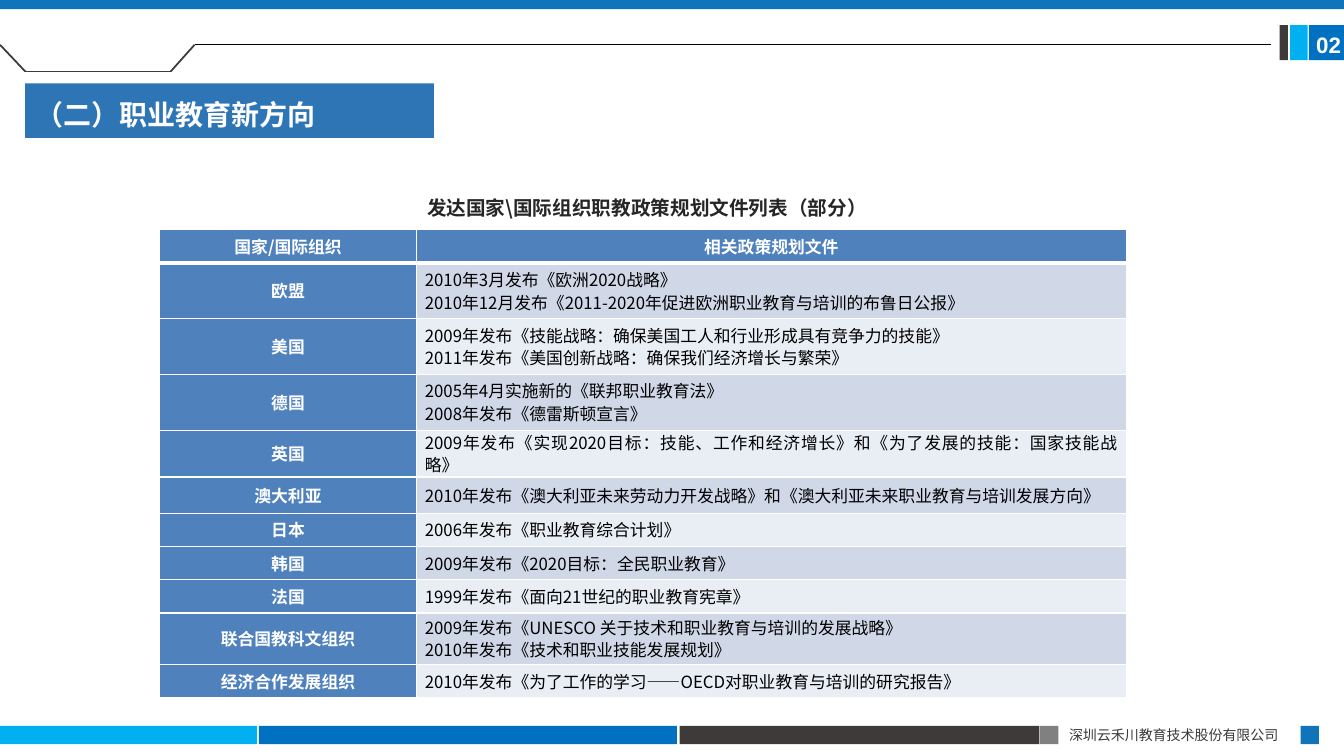
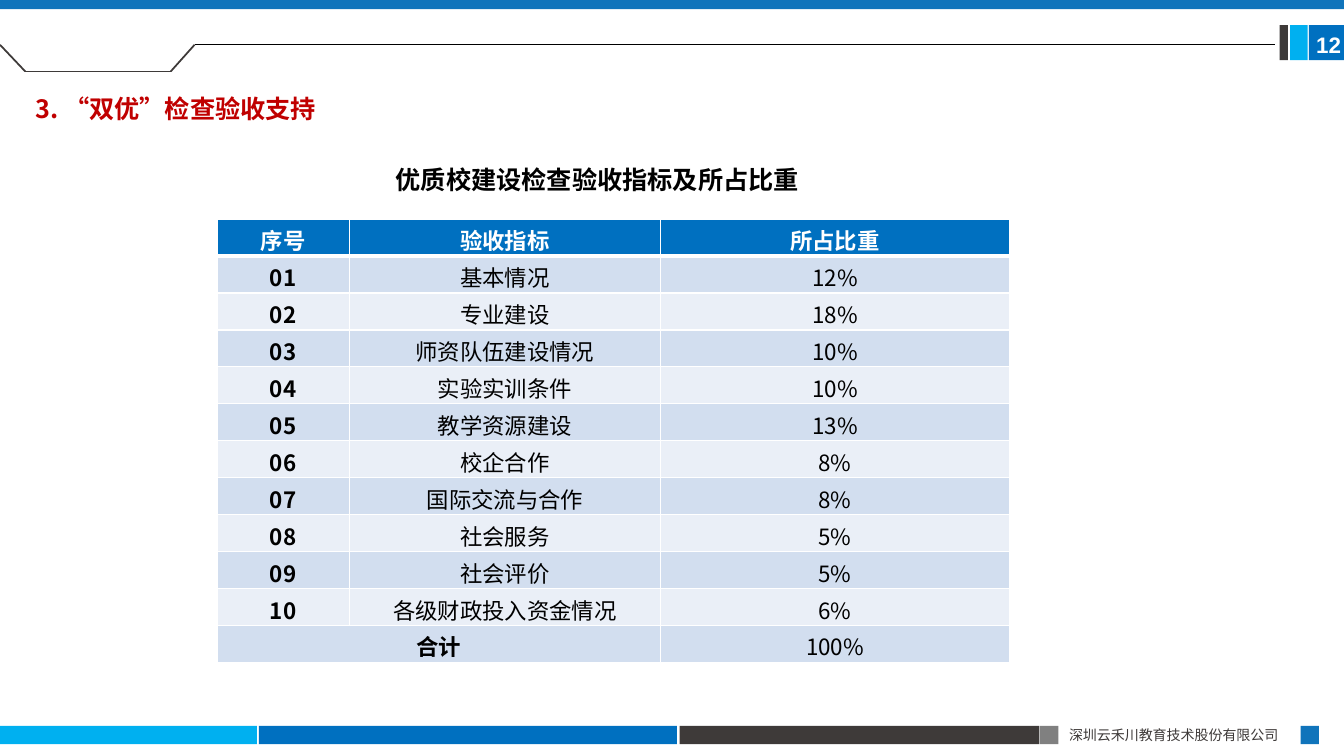
from lxml.etree import SubElement
from pptx import Presentation
from pptx.dml.color import RGBColor
from pptx.enum.shapes import MSO_CONNECTOR, MSO_SHAPE
from pptx.enum.text import MSO_ANCHOR, MSO_AUTO_SIZE, PP_ALIGN
from pptx.oxml.ns import qn
from pptx.util import Pt

HUE = {
    "sky": "00B0F0", "blue": "0070C0", "bar": "1074BB", "dark": "3E3A39",
    "gray": "808080", "white": "FFFFFF", "black": "000000", "ink": "262626",
    "red": "C00000", "title": "2E75B6", "head": "4F81BD",
    "band1": "D0D8E8", "pale1": "E9EDF4", "band2": "D2DEEF", "pale2": "EAEFF7",
}
FONT = "Noto Sans CJK SC"
FIRM = "深圳云禾川教育技术股份有限公司"
MID, LEFT, JUST = PP_ALIGN.CENTER, PP_ALIGN.LEFT, PP_ALIGN.JUSTIFY

POLICY = [
    ("国家/国际组织", ["相关政策规划文件"]),
    ("欧盟", ["2010年3月发布《欧洲2020战略》",
            "2010年12月发布《2011-2020年促进欧洲职业教育与培训的布鲁日公报》"]),
    ("美国", ["2009年发布《技能战略：确保美国工人和行业形成具有竞争力的技能》",
            "2011年发布《美国创新战略：确保我们经济增长与繁荣》"]),
    ("德国", ["2005年4月实施新的《联邦职业教育法》", "2008年发布《德雷斯顿宣言》"]),
    ("英国", ["2009年发布《实现2020目标：技能、工作和经济增长》和《为了发展的技能：国家技能战略》"]),
    ("澳大利亚", ["2010年发布《澳大利亚未来劳动力开发战略》和《澳大利亚未来职业教育与培训发展方向》"]),
    ("日本", ["2006年发布《职业教育综合计划》"]),
    ("韩国", ["2009年发布《2020目标：全民职业教育》"]),
    ("法国", ["1999年发布《面向21世纪的职业教育宪章》"]),
    ("联合国教科文组织", ["2009年发布《UNESCO 关于技术和职业教育与培训的发展战略》",
                  "2010年发布《技术和职业技能发展规划》"]),
    ("经济合作发展组织", ["2010年发布《为了工作的学习——OECD对职业教育与培训的研究报告》"]),
]
SCORE = [
    ("序号", "验收指标", "所占比重"),
    ("01", "基本情况", "12%"),
    ("02", "专业建设", "18%"),
    ("03", "师资队伍建设情况", "10%"),
    ("04", "实验实训条件", "10%"),
    ("05", "教学资源建设", "13%"),
    ("06", "校企合作", "8%"),
    ("07", "国际交流与合作", "8%"),
    ("08", "社会服务", "5%"),
    ("09", "社会评价", "5%"),
    ("10", "各级财政投入资金情况", "6%"),
    ("合计", None, "100%"),
]


def rgb(name):
    return RGBColor.from_string(HUE[name])


def write(frame, lines, size, hue, bold=False, align=LEFT, font=FONT, space=None):
    """Fill a text frame, one paragraph for each line."""
    for i, line in enumerate(lines):
        para = frame.add_paragraph() if i else frame.paragraphs[0]
        para.alignment = align
        if space:
            para.line_spacing = Pt(space)
        run = para.add_run()
        run.text = line
        run.font.size, run.font.bold, run.font.name = Pt(size), bold, font
        run.font.color.rgb = rgb(hue)
        SubElement(run.font._element, qn("a:ea")).set("typeface", font)


def pad(item, left, top, right, low):
    item.margin_left, item.margin_top = Pt(left), Pt(top)
    item.margin_right, item.margin_bottom = Pt(right), Pt(low)


def block(slide, x, y, w, h, hue):
    shape = slide.shapes.add_shape(MSO_SHAPE.RECTANGLE, Pt(x), Pt(y), Pt(w), Pt(h))
    shape.shadow.inherit = False
    shape.fill.solid()
    shape.fill.fore_color.rgb = rgb(hue)
    shape.line.fill.background()
    return shape


def rule(slide, start, end, hue, width):
    line = slide.shapes.add_connector(
        MSO_CONNECTOR.STRAIGHT, *[Pt(v) for v in (*start, *end)])
    line.line.color.rgb = rgb(hue)
    line.line.width = Pt(width)
    SubElement(line._element.spPr, qn("a:effectLst"))


def label(slide, box, text, size, hue, bold=True, align=LEFT):
    frame = slide.shapes.add_textbox(*[Pt(v) for v in box]).text_frame
    frame.word_wrap = True
    write(frame, [text], size, hue, bold, align)


def title(slide, box, text, size, hue, fill=None, top=3.6):
    shape = slide.shapes.title
    shape.left, shape.top, shape.width, shape.height = [Pt(v) for v in box]
    if fill:
        shape.fill.solid()
        shape.fill.fore_color.rgb = rgb(fill)
    frame = shape.text_frame
    frame.auto_size = MSO_AUTO_SIZE.NONE
    frame.vertical_anchor = MSO_ANCHOR.TOP
    frame.word_wrap = True
    pad(frame, 7.2, top, 7.2, 0)
    write(frame, [text], size, hue, True)


def header(slide, box, page, end):
    """Top bar, notched rule and page marker."""
    x, y, w, h = box
    block(slide, x, y, w, 6.5, "bar")
    notch = [(x, y + 32), (x + 18, y + 51), (x + 122, y + 51), (x + 139, y + 32)]
    for a, b in zip(notch, notch[1:]):
        rule(slide, a, b, "dark", 1.25)
    rule(slide, notch[-1], (x + end, y + 32), "black", 0.5)
    block(slide, x + w - 46, y + 18, 6, h - 18, "dark")
    block(slide, x + w - 38.5, y + 18, 12.5, h - 18, "sky")
    frame = block(slide, x + w - 25, y + 18, 25, h - 18, "blue").text_frame
    frame.word_wrap = False
    pad(frame, 3, 3, 0, 0)
    write(frame, [page], 16, "white", True, MID, "Arial")


def footer(slide, box):
    """Colour strip with the firm's name."""
    x, y, w, h = box
    strip = [(0, 183.5, "sky"), (185, 298.5, "blue"), (485.5, 257, "dark"),
             (743, 13, "gray"), (929, 13, "bar")]
    for left, wide, hue in strip:
        block(slide, x + left, y, wide, h, hue)
    label(slide, (x + 756.5, y - 3, 173, 19), FIRM, 10, "dark", False, JUST)


def grid(slide, box, cols, rows):
    """Plain table with the given column widths and row heights."""
    shape = slide.shapes.add_table(len(rows), len(cols), *[Pt(v) for v in box])
    table = shape.table
    for col, wide in zip(table.columns, cols):
        col.width = Pt(wide)
    for row, high in zip(table.rows, rows):
        row.height = Pt(high)
    return table


def cell(table, r, c, lines, fill, inset, size, hue, bold, align=MID, space=None):
    item = table.cell(r, c)
    item.vertical_anchor = MSO_ANCHOR.MIDDLE
    pad(item, *inset)
    # White borders, heavier below the header row
    heavy = {"lnB": r == 0, "lnT": r == 1}
    props = item._tc.get_or_add_tcPr()
    for side in ("lnL", "lnR", "lnT", "lnB"):
        width = Pt(3 if heavy.get(side) else 1)
        edge = SubElement(props, qn("a:" + side), w=str(int(width)))
        solid = SubElement(edge, qn("a:solidFill"))
        SubElement(solid, qn("a:srgbClr"), val=HUE["white"])
    item.fill.solid()
    item.fill.fore_color.rgb = rgb(fill)
    write(item.text_frame, lines, size, hue, bold, align, space=space)


def policies(slide, box):
    """Countries and their policy papers."""
    rows = [24, 39.75, 39.75, 39.75, 33.5, 26, 23.75, 23.75, 23.75, 37, 23.75]
    table = grid(slide, box, (183.5, box[2] - 183.5), rows)
    look = ((6, 0.75, 6, 0), 12)
    for r, (name, papers) in enumerate(POLICY):
        cell(table, r, 0, [name], "head", *look, "white", True, space=16)
        if r == 0:
            cell(table, r, 1, papers, "head", *look, "white", True, space=16)
        else:
            fill = "band1" if r % 2 else "pale1"
            cell(table, r, 1, papers, fill, *look, "black", False, JUST, 16)


def scores(slide, box):
    """Indicators, their weights and the total."""
    last = len(SCORE) - 1
    table = grid(slide, box, (94.5, 222.5, box[2] - 317), [box[3] / len(SCORE)] * len(SCORE))
    table.cell(last, 0).merge(table.cell(last, 1))
    for r, row in enumerate(SCORE):
        fill = "blue" if r == 0 else "band2" if r % 2 else "pale2"
        hue = "black" if r else "white"
        for c, text in enumerate(row):
            cell(table, r, c, [text] if text else [], fill, (7.2, 3.2, 7.2, 0),
                 16, hue, r == 0 or c == 0)


def base(deck, page, end):
    slide = deck.slides.add_slide(deck.slide_layouts[5])
    footer(slide, (0, 518.5, 960, 13))
    header(slide, (0, 0, 960, 43), page, end)
    return slide


def trends(deck):
    slide = base(deck, "02", 908)
    policies(slide, (114, 164, 690.5, 334.75))
    label(slide, (298, 136.5, 375, 25), "发达国家\\国际组织职教政策规划文件列表（部分）", 14, "ink")
    title(slide, (18, 59.5, 292, 39), "（二）职业教育新方向", 20, "white", "title", 10)


def checks(deck):
    slide = base(deck, "12", 911)
    title(slide, (18, 63, 296, 29), "3. “双优”检查验收支持", 18, "red")
    scores(slide, (155, 156.5, 566, 316.8))
    label(slide, (275.5, 114, 351, 29), "优质校建设检查验收指标及所占比重", 18, "black")


def main():
    deck = Presentation()
    deck.slide_width, deck.slide_height = Pt(960), Pt(540)
    trends(deck)
    checks(deck)
    deck.save("out.pptx")


if __name__ == "__main__":
    main()
